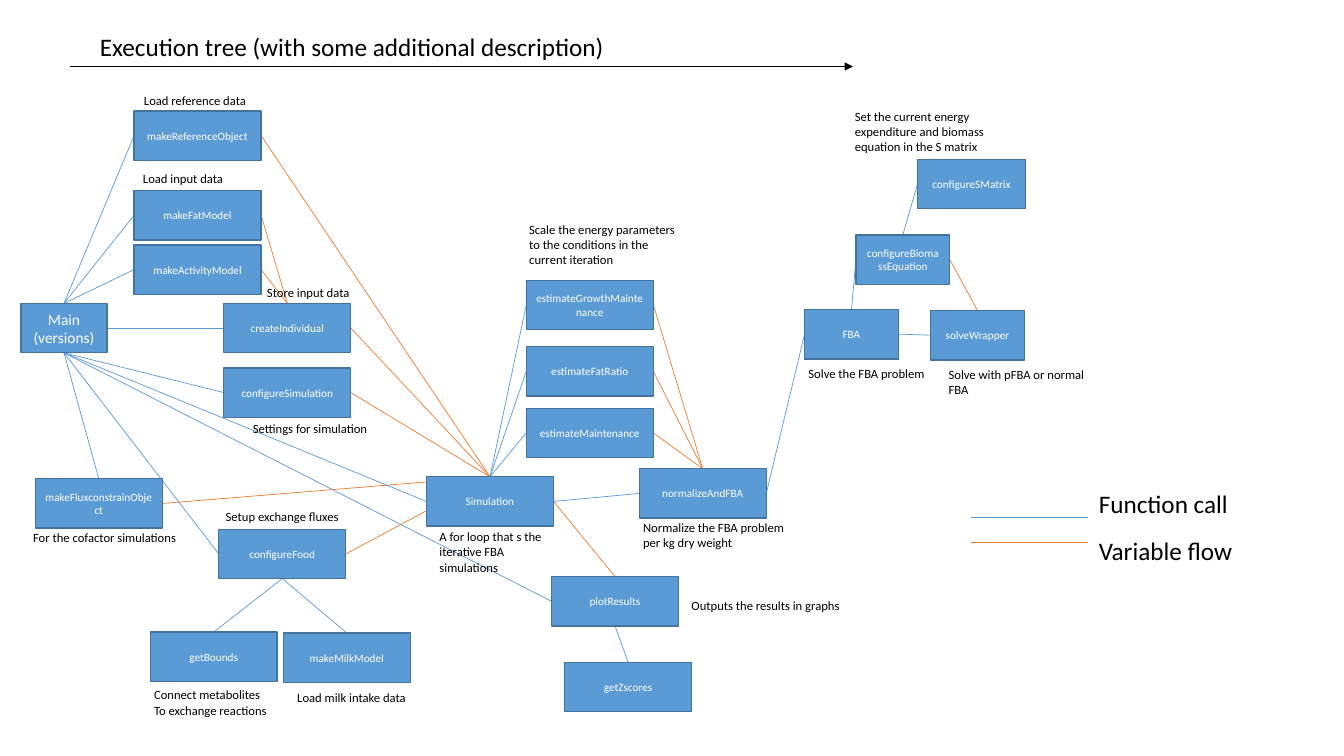
from dataclasses import dataclass

from lxml.etree import SubElement
from pptx import Presentation
from pptx.dml.color import RGBColor
from pptx.enum.shapes import MSO_CONNECTOR, MSO_SHAPE
from pptx.enum.text import MSO_ANCHOR, MSO_AUTO_SIZE, PP_ALIGN
from pptx.oxml.ns import qn
from pptx.util import Inches, Pt


@dataclass(frozen=True)
class Theme:
    """Colours, font and sizes of the slide."""
    font: str = "Calibri"
    fill: str = "5B9BD5"
    border: str = "43739E"
    call: str = "5B9BD5"
    flow: str = "ED7D31"
    ink: str = "000000"
    paper: str = "FFFFFF"
    heading: int = 18
    main: int = 11
    box: int = 8
    note: int = 9


THEME = Theme()
TOP, LEFT, BOTTOM, RIGHT = range(4)  # connection sites of a rectangle
BOX_WIDTH, BOX_HEIGHT = 1.26, 0.49
NOTE_HEIGHTS = {1: 0.25, 2: 0.4, 3: 0.56}

TITLE = ("Execution tree (with some additional description)", 0.89, 0.26, 5.26, 0.4)
TITLE_ARROW = (0.69, 0.66, 8.46, 0.66)

MAIN = "Main\n(versions)"
# Function name: left, top and, where it is not the usual one, width
BOXES = {
    MAIN: (0.21, 3.01, 0.85),
    "makeReferenceObject": (1.33, 1.1),
    "makeFatModel": (1.33, 1.89),
    "makeActivityModel": (1.33, 2.43),
    "createIndividual": (2.22, 3.01),
    "configureSimulation": (2.22, 3.65),
    "makeFluxconstrainObject": (0.35, 4.75),
    "configureFood": (2.17, 5.25),
    "getBounds": (1.49, 6.27),
    "makeMilkModel": (2.81, 6.28),
    "Simulation": (4.23, 4.73),
    "plotResults": (5.47, 5.72),
    "getZscores": (5.6, 6.57),
    "estimateGrowthMaintenance": (5.22, 2.78),
    "estimateFatRatio": (5.22, 3.44),
    "estimateMaintenance": (5.22, 4.05),
    "normalizeAndFBA": (6.34, 4.65),
    "FBA": (7.98, 3.07, 0.93),
    "configureBiomassEquation": (8.49, 2.33, 0.93),
    "solveWrapper": (9.23, 3.08, 0.93),
    "configureSMatrix": (9.1, 1.58, 1.07),
}

ESTIMATES = [name for name in BOXES if name.startswith("estimate")]

# Caller, its side, and the (function, side) pairs that it calls
CALLS = [
    (MAIN, TOP, [(name, LEFT) for name in
                 ("makeReferenceObject", "makeFatModel", "makeActivityModel")]),
    (MAIN, RIGHT, [("createIndividual", LEFT)]),
    (MAIN, BOTTOM, [(name, LEFT) for name in
                    ("configureSimulation", "configureFood", "plotResults", "Simulation")]),
    (MAIN, BOTTOM, [("makeFluxconstrainObject", TOP)]),
    ("configureFood", BOTTOM, [("getBounds", TOP), ("makeMilkModel", TOP)]),
    ("Simulation", TOP, [(name, LEFT) for name in ESTIMATES]),
    ("Simulation", RIGHT, [("normalizeAndFBA", LEFT)]),
    ("plotResults", BOTTOM, [("getZscores", TOP)]),
    ("normalizeAndFBA", RIGHT, [("FBA", LEFT)]),
    ("FBA", TOP, [("configureBiomassEquation", LEFT)]),
    ("FBA", RIGHT, [("solveWrapper", LEFT)]),
    ("configureBiomassEquation", TOP, [("configureSMatrix", LEFT)]),
]

# Receiver of variables and the functions whose right side feeds its top
FLOWS = {
    "createIndividual": ["makeFatModel", "makeActivityModel"],
    "Simulation": ["makeReferenceObject", "createIndividual", "configureSimulation",
                   "makeFluxconstrainObject", "configureFood"],
    "plotResults": ["Simulation"],
    "normalizeAndFBA": ESTIMATES,
    "solveWrapper": ["configureBiomassEquation"],
}

# Text, left, top, width, number of lines
FITTED_NOTES = [
    ("Load reference data", 1.33, 0.87, 1.23, 1),
    ("Load input data", 1.32, 1.65, 1, 1),
    ("Store input data", 2.55, 2.78, 1.03, 1),
    ("Settings for simulation", 2.41, 4.13, 1.36, 1),
    ("For the cofactor simulations", 0.23, 5.21, 1.64, 1),
    ("Setup exchange fluxes", 2.14, 5, 1.38, 1),
    ("Connect metabolites\nTo exchange reactions", 1.43, 6.77, 1.34, 2),
    ("Load milk intake data", 2.85, 6.79, 1.3, 1),
]
WRAPPED_NOTES = [
    ("A for loop that s the iterative FBA simulations", 4.26, 5.2, 1.22, 3),
    ("Scale the energy parameters to the conditions in the current iteration",
     5.15, 2.15, 1.71, 3),
    ("Outputs the results in graphs", 6.76, 5.88, 1.71, 1),
    ("Normalize the FBA problem per kg dry weight", 6.28, 5.11, 1.71, 2),
    ("Solve the FBA problem", 7.92, 3.58, 1.71, 1),
    ("Set the current energy expenditure and biomass equation in the S matrix",
     8.38, 1.03, 1.71, 3),
    ("Solve with pFBA or normal FBA", 9.31, 3.59, 1.71, 2),
]

# Text, top, width, height of the line, colour
LEGEND = [
    ("Function call", 4.8, 1.5, 5.13, THEME.call),
    ("Variable flow", 5.26, 1.54, 5.38, THEME.flow),
]
LEGEND_LINE_LEFT, LEGEND_LINE_RIGHT, LEGEND_TEXT_LEFT = 9.63, 10.79, 10.8


def write(shape, text, size, color, align=PP_ALIGN.LEFT):
    """Put text into a shape, one paragraph per line, in one style."""
    shape.text_frame.text = text
    for para in shape.text_frame.paragraphs:
        para.alignment = align
        para.font.name = THEME.font
        para.font.size = Pt(size)
        para.font.color.rgb = RGBColor.from_string(color)


def fit(shape, wrap):
    """Anchor text at the top and let its frame follow the text."""
    frame = shape.text_frame
    frame.vertical_anchor = MSO_ANCHOR.TOP
    frame.word_wrap = wrap
    frame.auto_size = MSO_AUTO_SIZE.SHAPE_TO_FIT_TEXT


def add_text(page, text, place, size, wrap):
    """Add a text box at place: left, top, width, height."""
    box = page.shapes.add_textbox(*map(Inches, place))
    write(box, text, size, THEME.ink)
    fit(box, wrap)


def add_box(page, name, left, top, width=BOX_WIDTH):
    """Add the rectangle of one function."""
    box = page.shapes.add_shape(
        MSO_SHAPE.RECTANGLE, *map(Inches, (left, top, width, BOX_HEIGHT)))
    box.shadow.inherit = False
    box.fill.solid()
    box.fill.fore_color.rgb = RGBColor.from_string(THEME.fill)
    box.line.color.rgb = RGBColor.from_string(THEME.border)
    box.line.width = Pt(1)
    box.text_frame.vertical_anchor = MSO_ANCHOR.MIDDLE
    size = THEME.main if name == MAIN else THEME.box
    write(box, name, size, THEME.paper, PP_ALIGN.CENTER)
    return box


def add_line(page, color, ends=(0, 0, 0, 0)):
    """Add a thin straight line between two points."""
    line = page.shapes.add_connector(MSO_CONNECTOR.STRAIGHT, *map(Inches, ends))
    line.line.color.rgb = RGBColor.from_string(color)
    line.line.width = Pt(0.5)
    SubElement(line._element.spPr, qn("a:effectLst"))
    return line


def join(page, color, start, start_side, end, end_side):
    """Connect two boxes with a line that lies behind all boxes."""
    line = add_line(page, color)
    line.begin_connect(start, start_side)
    line.end_connect(end, end_side)
    page.shapes._spTree.insert(2, line._element)


deck = Presentation()
deck.slide_width, deck.slide_height = Inches(13.33), Inches(7.5)
page = deck.slides.add_slide(deck.slide_layouts[5])

title = page.shapes.title
text, *place = TITLE
title.left, title.top, title.width, title.height = map(Inches, place)
write(title, text, THEME.heading, THEME.ink)
fit(title, wrap=False)
arrow = add_line(page, THEME.ink, TITLE_ARROW)
SubElement(arrow.line._get_or_add_ln(), qn("a:tailEnd"), type="triangle")

boxes = {name: add_box(page, name, *place) for name, place in BOXES.items()}
for caller, side, targets in CALLS:
    for target, target_side in targets:
        join(page, THEME.call, boxes[caller], side, boxes[target], target_side)
for receiver, sources in FLOWS.items():
    for source in sources:
        join(page, THEME.flow, boxes[source], RIGHT, boxes[receiver], TOP)

for notes, wrap in ((FITTED_NOTES, False), (WRAPPED_NOTES, True)):
    for text, left, top, width, lines in notes:
        add_text(page, text, (left, top, width, NOTE_HEIGHTS[lines]), THEME.note, wrap)

for text, top, width, line_top, color in LEGEND:
    add_line(page, color, (LEGEND_LINE_LEFT, line_top, LEGEND_LINE_RIGHT, line_top))
    add_text(page, text, (LEGEND_TEXT_LEFT, top, width, 0.4), THEME.heading, wrap=False)

deck.save("out.pptx")
